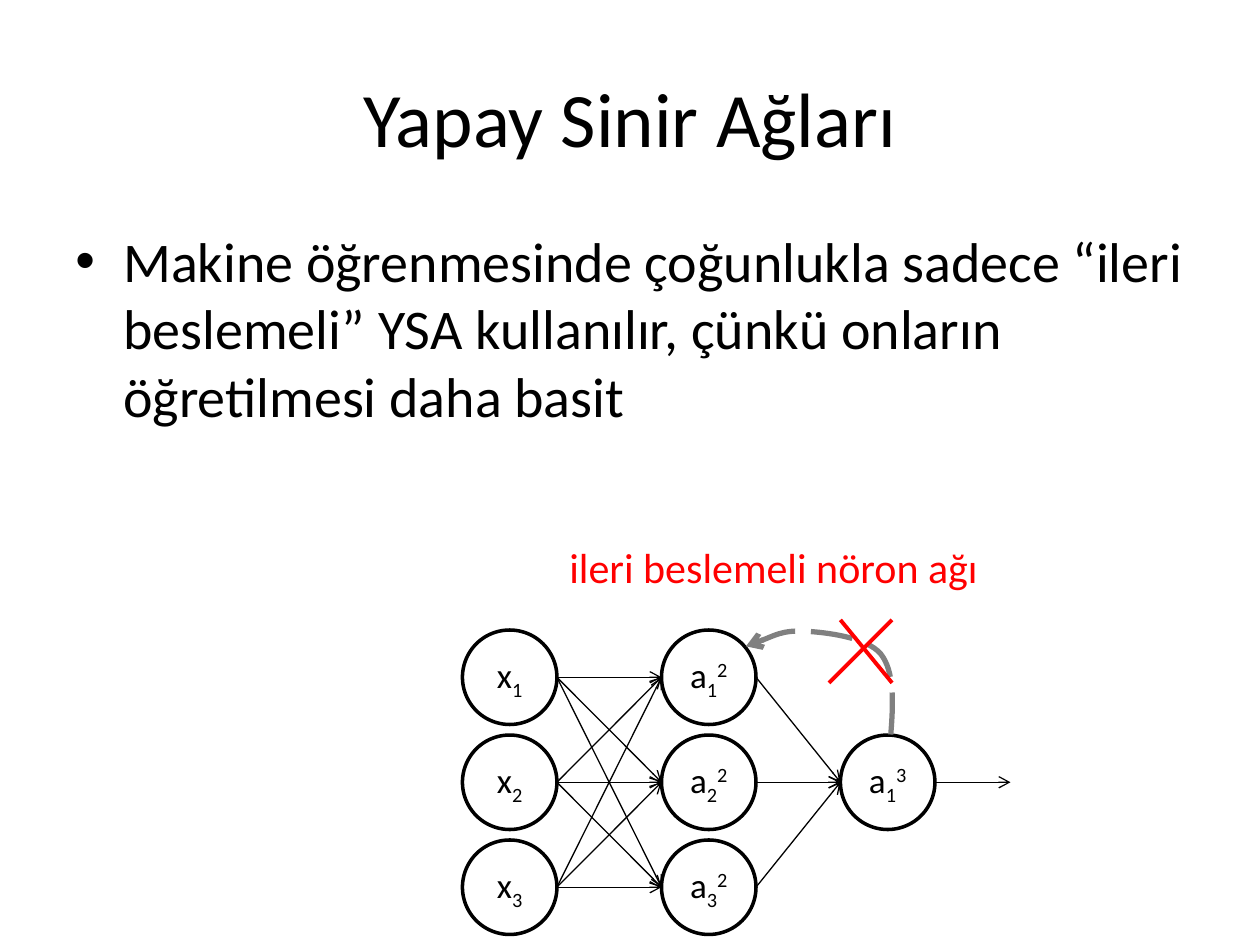
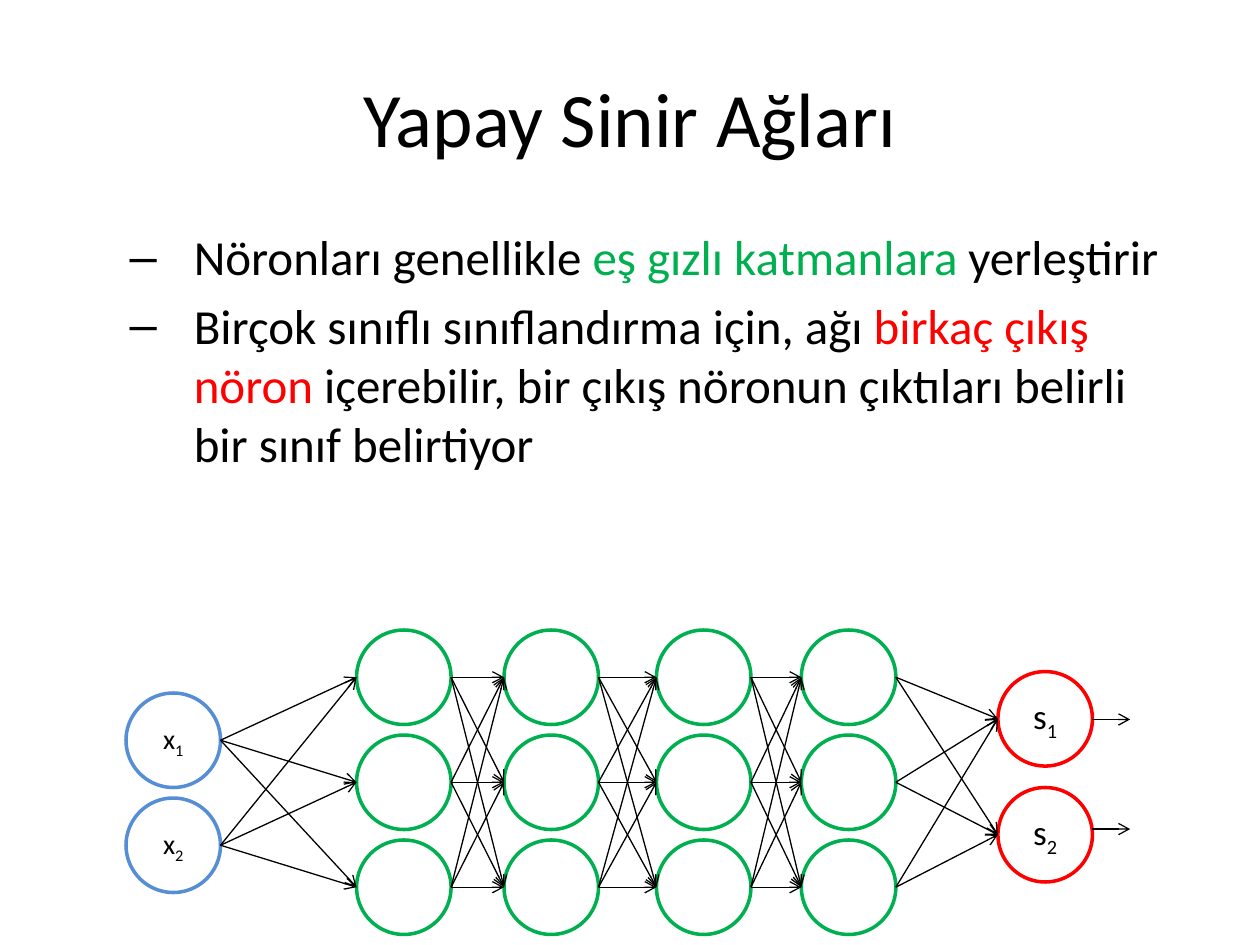
from itertools import product

from lxml import etree
from pptx import Presentation
from pptx.dml.color import RGBColor
from pptx.enum.dml import MSO_LINE
from pptx.enum.shapes import MSO_CONNECTOR, MSO_SHAPE
from pptx.enum.text import MSO_ANCHOR, MSO_AUTO_SIZE, PP_ALIGN
from pptx.oxml.ns import qn
from pptx.util import Inches, Pt

STRAIGHT = MSO_CONNECTOR.STRAIGHT
OVAL = MSO_SHAPE.OVAL
LONG_DASH = MSO_LINE.LONG_DASH
MIDDLE = MSO_ANCHOR.MIDDLE
FIT_SHAPE = MSO_AUTO_SIZE.SHAPE_TO_FIT_TEXT
CENTER = PP_ALIGN.CENTER

BLACK = RGBColor(0x00, 0x00, 0x00)
WHITE = RGBColor(0xFF, 0xFF, 0xFF)
RED = RGBColor(0xFF, 0x00, 0x00)
GREEN = RGBColor(0x00, 0xB0, 0x50)
BLUE = RGBColor(0x55, 0x8E, 0xD5)
GRAY = RGBColor(0x80, 0x80, 0x80)

FONT = "Calibri"
TITLE = "Yapay Sinir Ağları"
NEURON = 0.75          # diameter of a neuron
ROW_STEP = 5 / 6       # distance between neurons of a layer
SUB, SUPER = -25, 30   # baseline shifts in percent


def set_font(font, size, color):
    font.name = FONT
    font.size = Pt(size)
    font.color.rgb = color


def add_arrowhead(line_owner):
    line = line_owner.line._get_or_add_ln()
    etree.SubElement(line, qn("a:tailEnd"), type="arrow")


def add_text_box(page, left, top, width, height, wrap=True):
    box = page.shapes.add_textbox(*map(Inches, (left, top, width, height)))
    box.text_frame.word_wrap = wrap
    return box.text_frame


def add_title(page):
    frame = add_text_box(page, 0.5, 0.3, 9, 1.25)
    frame.vertical_anchor = MIDDLE
    para = frame.paragraphs[0]
    para.text = TITLE
    para.alignment = CENTER
    set_font(para.font, 44, BLACK)


def add_bullets(page, height, items, mark, size, margin, hang, level=0):
    """Each item is a list of (text, color) spans."""
    frame = add_text_box(page, 0.5, 1.75, 9, height)
    for index, spans in enumerate(items):
        para = frame.paragraphs[0] if index == 0 else frame.add_paragraph()
        para.level = level
        if index:
            para.space_before = Pt(size * 0.2)
        props = para._p.get_or_add_pPr()
        props.set("marL", str(Inches(margin)))
        props.set("indent", str(-Inches(hang)))
        etree.SubElement(props, qn("a:buFont"), typeface="Arial")
        etree.SubElement(props, qn("a:buChar"), char=mark)
        set_font(para.font, size, BLACK)
        for text, color in spans:
            span = para.add_run()
            span.text = text
            if color != BLACK:
                span.font.color.rgb = color


def add_line(shapes, start, end, color=BLACK, width=0.75, arrow=True):
    line = shapes.add_connector(STRAIGHT, *map(Inches, (*start, *end)))
    line.line.color.rgb = color
    line.line.width = Pt(width)
    etree.SubElement(line._element.spPr, qn("a:effectLst"))
    if arrow:
        # Arrowheads belong to the line, which precedes the effects
        add_arrowhead(line)


def add_neuron(shapes, left, top, color, label, size):
    """label is a tuple: a letter, its subscript and an optional superscript."""
    neuron = shapes.add_shape(OVAL, *map(Inches, (left, top, NEURON, NEURON)))
    neuron.shadow.inherit = False
    neuron.fill.solid()
    neuron.fill.fore_color.rgb = WHITE
    neuron.line.color.rgb = color
    neuron.line.width = Pt(2)
    if not label:
        return
    frame = neuron.text_frame
    frame.word_wrap = False
    frame.vertical_anchor = MIDDLE
    para = frame.paragraphs[0]
    para.alignment = CENTER
    set_font(para.font, size, BLACK)
    for text, shift in zip(label, (0, SUB, SUPER)):
        span = para.add_run()
        span.text = text
        if shift:
            span._r.get_or_add_rPr().set("baseline", str(shift * 1000))


def add_layer(shapes, left, top, labels, color=BLACK, size=20, step=ROW_STEP):
    """Draw a column of neurons; return its left edge and the neuron centres."""
    tops = [top + row * step for row in range(len(labels))]
    for neuron_top, label in zip(tops, labels):
        add_neuron(shapes, left, neuron_top, color, label, size)
    return left, [neuron_top + NEURON / 2 for neuron_top in tops]


def connect_layers(shapes, layers):
    """Join every neuron to all neurons of the next layer."""
    for (left, sources), (next_left, targets) in zip(layers, layers[1:]):
        for source, target in product(sources, targets):
            add_line(shapes, (left + NEURON, source), (next_left, target))


def add_feedback_curve(page, left, top):
    points = [(1.15, 0.83), (1.17, 0.58), (1.18, 0.33), (1.07, 0.19),
              (0.96, 0.06), (0.65, 0.02), (0.47, 0.01),
              (0.29, 0), (0.07, 0.11), (0, 0.13)]
    points = [(Inches(left + x), Inches(top + y)) for x, y in points]
    builder = page.shapes.build_freeform(*points[0])
    builder.add_line_segments(points[1:], close=False)
    curve = builder.convert_to_shape()
    # Turn each three line segments into one Bézier segment
    corners = list(curve._element.iter(qn("a:lnTo")))
    outline = corners[0].getparent()
    for first in range(0, len(corners), 3):
        bezier = etree.SubElement(outline, qn("a:cubicBezTo"))
        for corner in corners[first:first + 3]:
            bezier.append(corner[0])
            outline.remove(corner)
    curve.shadow.inherit = False
    curve.fill.background()
    curve.line.color.rgb = GRAY
    curve.line.width = Pt(3)
    curve.line.dash_style = LONG_DASH
    add_arrowhead(curve)


def add_cross(page, left, top):
    for start, end in (((0, 0.5), (0.5, 0)), ((0.5, 0.5), (0.09, 0))):
        add_line(page.shapes, (left + start[0], top + start[1]),
                 (left + end[0], top + end[1]), RED, 2.25, arrow=False)


def add_feedforward_network(page, left, top):
    shapes = page.shapes.add_group_shape().shapes
    layers = [
        add_layer(shapes, left, top, [("x", n) for n in "123"]),
        add_layer(shapes, left + 1.58, top, [("a", n, "2") for n in "123"]),
        add_layer(shapes, left + 3, top + ROW_STEP, [("a", "1", "3")]),
    ]
    connect_layers(shapes, layers)
    output_left, (output_y,) = layers[-1]
    start = output_left + NEURON
    add_line(shapes, (start, output_y), (start + 0.6, output_y))
    # Crossed-out feedback link and caption
    add_feedback_curve(page, left + 2.25, top)
    add_cross(page, left + 2.91, top - 0.08)
    frame = add_text_box(page, left + 0.75, top - 0.75, 3.47, 0.5, wrap=False)
    frame.auto_size = FIT_SHAPE
    para = frame.paragraphs[0]
    para.text = "ileri beslemeli nöron ağı"
    set_font(para.font, 24, RED)


def add_multiclass_network(page, left, top):
    shapes = page.shapes
    inputs = add_layer(shapes, left, top + 0.5, [("x", n) for n in "12"],
                       BLUE, size=16)
    hidden = [add_layer(shapes, left + offset, top, [None] * 3, GREEN)
              for offset in (1.83, 3, 4.21, 5.36)]
    outputs = add_layer(shapes, left + 6.92, top + 0.33,
                        [("s", n) for n in "12"], RED, step=0.92)
    connect_layers(shapes, [inputs, *hidden, outputs])
    for y in (top + 0.71, top + 1.58):
        add_line(shapes, (left + 7.67, y), (left + 7.97, y))


def build_feedforward_slide(page):
    add_title(page)
    add_bullets(page, 4.95, [[
        ("Makine öğrenmesinde çoğunlukla sadece “ileri beslemeli” YSA "
         "kullanılır, çünkü onların öğretilmesi daha basit", BLACK)]],
        mark="•", size=32, margin=0.38, hang=0.38)
    add_feedforward_network(page, 3.67, 5)


def build_multiclass_slide(page):
    add_title(page)
    add_bullets(page, 3.25, [
        [("Nöronları genellikle ", BLACK), ("eş gızlı katmanlara ", GREEN),
         ("yerleştirir", BLACK)],
        [("Birçok sınıflı sınıflandırma için, ağı ", BLACK),
         ("birkaç çıkış nöron ", RED),
         ("içerebilir, bir çıkış nöronun çıktıları belirli bir sınıf "
          "belirtiyor", BLACK)]],
        mark="–", size=28, margin=0.94, hang=0.51, level=1)
    add_multiclass_network(page, 1, 5)


def main():
    deck = Presentation()
    deck.slide_width, deck.slide_height = Inches(10), Inches(7.5)
    for build in (build_feedforward_slide, build_multiclass_slide):
        build(deck.slides.add_slide(deck.slide_layouts[6]))
    deck.save("out.pptx")


if __name__ == "__main__":
    main()
